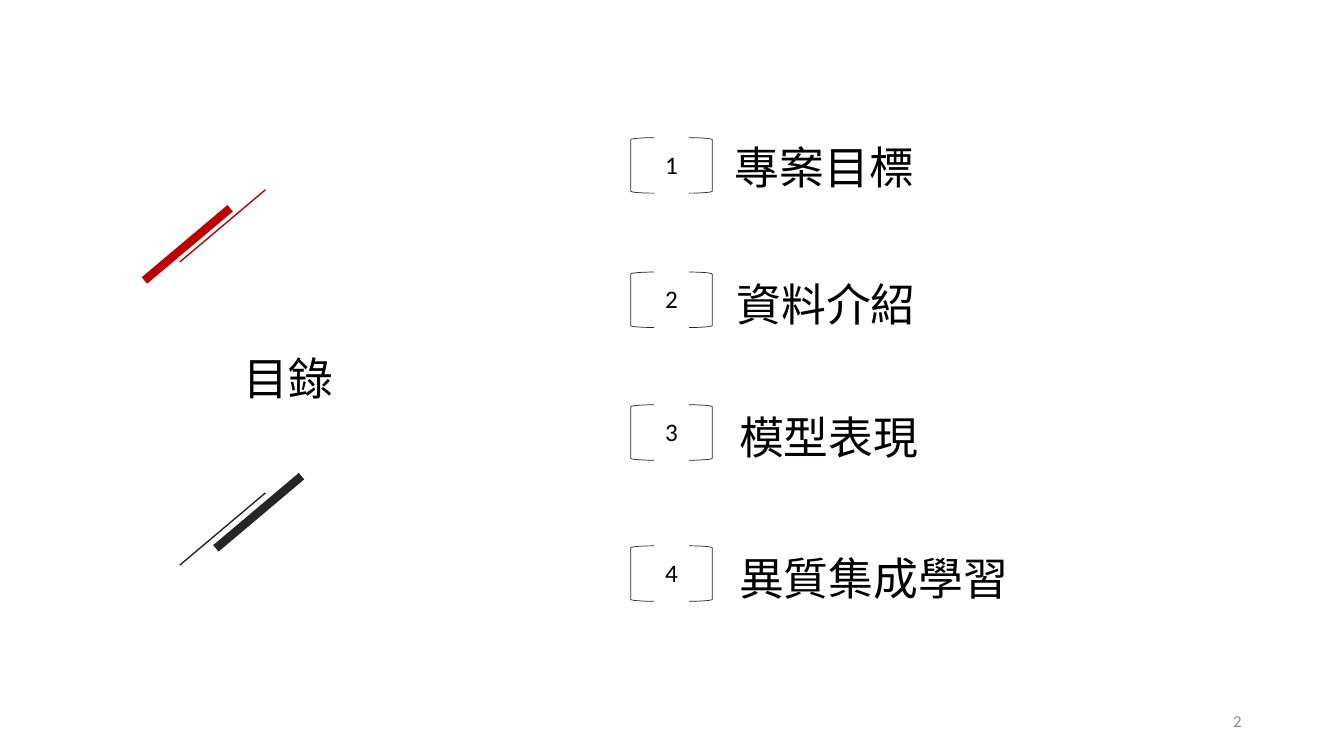
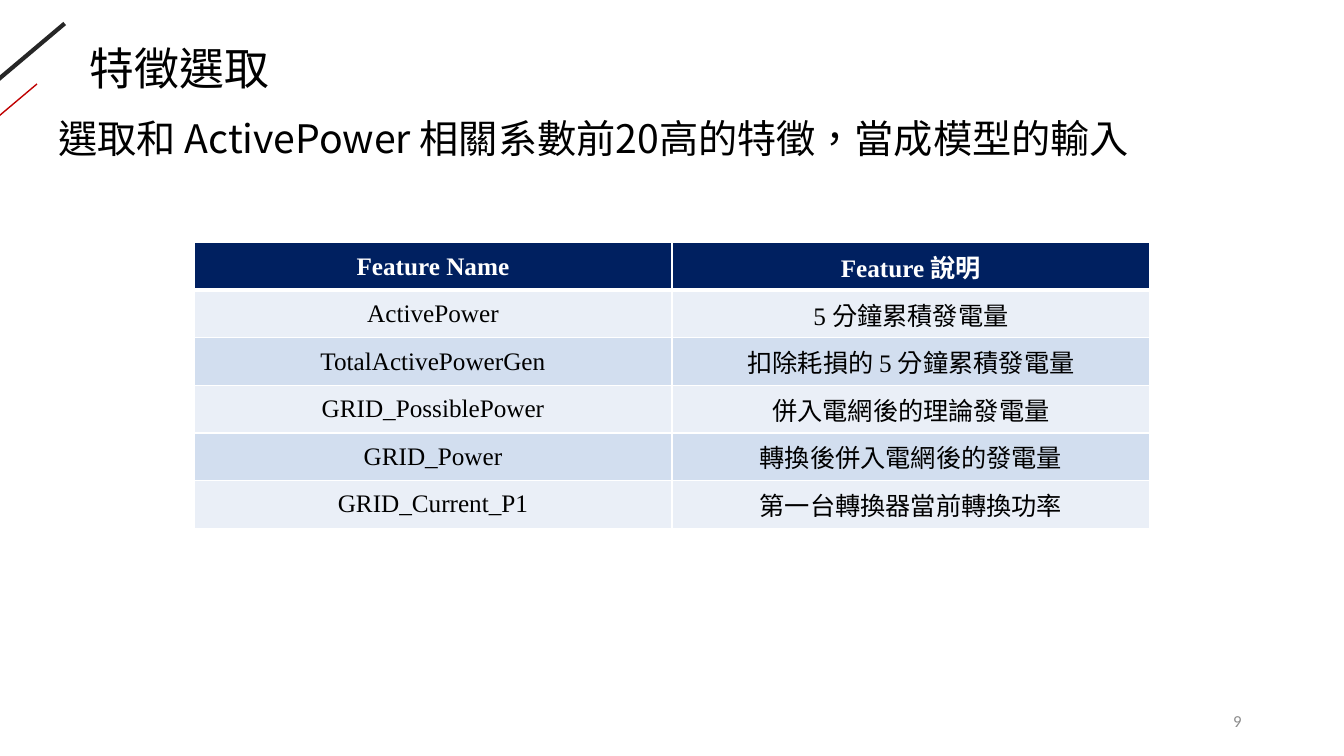
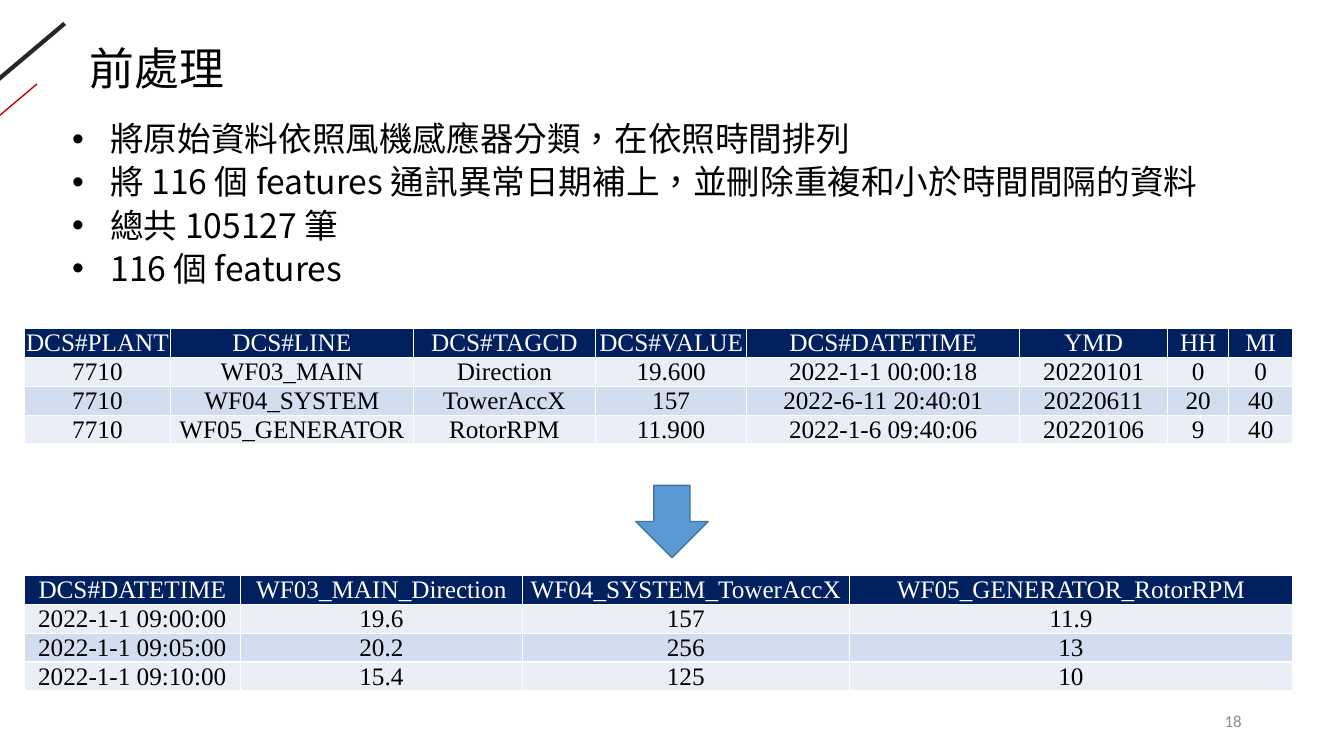
from lxml import etree
from pptx import Presentation
from pptx.dml.color import RGBColor
from pptx.enum.lang import MSO_LANGUAGE_ID
from pptx.enum.shapes import MSO_CONNECTOR, MSO_SHAPE
from pptx.enum.text import MSO_ANCHOR, MSO_AUTO_SIZE, PP_ALIGN
from pptx.oxml.ns import qn
from pptx.util import Emu, Inches, Pt

LEFT, CENTER, RIGHT = PP_ALIGN.LEFT, PP_ALIGN.CENTER, PP_ALIGN.RIGHT
TOP, MIDDLE = MSO_ANCHOR.TOP, MSO_ANCHOR.MIDDLE
NO_FIT = MSO_AUTO_SIZE.NONE
STRAIGHT = MSO_CONNECTOR.STRAIGHT
BRACKET, DOWN_ARROW = MSO_SHAPE.LEFT_BRACKET, MSO_SHAPE.DOWN_ARROW
CHINESE = MSO_LANGUAGE_ID.TRADITIONAL_CHINESE

COLUMNS = 160
TITLE_ONLY = 5


def color(value):
    return RGBColor.from_string(value)


def write_text(frame, text, size=18, font="Noto Sans CJK SC", ink="000000", bold=False,
               align=LEFT, spacing=1.0, before=0, bullet=None):
    for index, line in enumerate(text.split("\n")):
        para = frame.add_paragraph() if index else frame.paragraphs[0]
        para.alignment = align
        para.line_spacing = spacing
        para.space_before = Pt(before)
        if bullet:
            properties = para._p.get_or_add_pPr()
            properties.set("marL", str(Inches(0.38)))
            properties.set("indent", str(-Inches(0.38)))
            etree.SubElement(properties, qn("a:buFont"), typeface="Arial")
            etree.SubElement(properties, qn("a:buChar"), char=bullet)
        span = para.add_run()
        span.text = line
        span.font.name = font
        span.font.size = Pt(size)
        span.font.bold = bold
        span.font.color.rgb = color(ink)
        span.font.language_id = CHINESE
        latin = span._r.rPr.find(qn("a:latin"))
        latin.addnext(latin.makeelement(qn("a:ea"), {"typeface": "Noto Sans CJK SC"}))


class SlideBuilder:
    DARK, RED, NAVY, WHITE = "262626", "C00000", "002060", "FFFFFF"
    BANDS = ("EAEFF7", "D2DEEF")
    STROKE = (10.2, 8.6)

    def __init__(self):
        self.deck = Presentation()
        self.deck.slide_width = Inches(13.33)
        self.deck.slide_height = Inches(7.5)
        self.unit = self.deck.slide_width / COLUMNS
        self.page = None

    def grid(self, *cells):
        return [Emu(round(cell * self.unit)) for cell in cells]

    def start(self, title, number, area=(9.5, 1.8, 138, 13.4), align=LEFT, anchor=MIDDLE,
              spacing=0.9):
        self.page = self.deck.slides.add_slide(self.deck.slide_layouts[TITLE_ONLY])
        heading = self.page.shapes.title
        heading.left, heading.top, heading.width, heading.height = self.grid(*area)
        self.fill_frame(heading.text_frame, title, anchor, size=32, align=align, spacing=spacing)
        self.text((113, 83.4, 36, 4.8), str(number), MIDDLE, size=12, font="Calibri",
                  ink="8C8C8C", align=RIGHT)

    def start_content(self, title, number):
        self.start(title, number)
        self.stroke(-2.5, 11.4, self.DARK, 3)
        self.stroke(-0.7, 14.3, self.RED, 1, share=0.5)

    def fill_frame(self, frame, text, anchor, **style):
        frame.word_wrap = True
        frame.auto_size = NO_FIT
        frame.vertical_anchor = anchor
        write_text(frame, text, **style)

    def text(self, area, text, anchor=TOP, **style):
        box = self.page.shapes.add_textbox(*self.grid(*area))
        self.fill_frame(box.text_frame, text, anchor, **style)

    def body(self, area, text, size, bullet=None):
        self.text(area, text, size=size, spacing=0.9, before=5, bullet=bullet)

    def stroke(self, left, bottom, ink, weight, share=1):
        across, rise = self.STROKE
        ends = self.grid(left, bottom, left + across * share, bottom - rise * share)
        line = self.page.shapes.add_connector(STRAIGHT, *ends)
        line.line.color.rgb = color(ink)
        line.line.width = Pt(weight)
        etree.SubElement(line._element.spPr, qn("a:effectLst"))

    def shape(self, kind, area, ink, weight, fill=None, mirrored=False):
        shape = self.page.shapes.add_shape(kind, *self.grid(*area))
        shape.shadow.inherit = False
        shape.line.color.rgb = color(ink)
        shape.line.width = Pt(weight)
        if fill:
            shape.fill.solid()
            shape.fill.fore_color.rgb = color(fill)
        else:
            shape.fill.background()
        if mirrored:
            shape._element.spPr.get_or_add_xfrm().set("flipH", "1")

    def agenda_item(self, number, label, top, label_left, label_top):
        left, width, wing = 75.1, 9.7, 2.76
        self.text((left, top + 0.8, width, 5), str(number), font="Calibri", align=CENTER)
        self.shape(BRACKET, (left, top, wing, 6.6), self.DARK, 0.5)
        self.shape(BRACKET, (left + width - wing, top, wing, 6.6), self.DARK, 0.5, mirrored=True)
        self.text((label_left, label_top, 34.9, 7.7), label, size=32)

    def borders(self, cell, top, bottom):
        properties = cell._tc.get_or_add_tcPr()
        for index, (side, weight) in enumerate(
                (("lnL", 1), ("lnR", 1), ("lnT", top), ("lnB", bottom))):
            line = etree.Element(qn("a:" + side), w=str(Pt(weight)))
            fill = etree.SubElement(line, qn("a:solidFill"))
            etree.SubElement(fill, qn("a:srgbClr"), val=self.WHITE)
            properties.insert(index, line)

    def table(self, left, top, widths, row_height, rows, bold_header=False, inset=None):
        size = self.grid(left, top, sum(widths), row_height * len(rows))
        table = self.page.shapes.add_table(len(rows), len(widths), *size).table
        table.first_row = table.horz_banding = False
        for column, width in zip(table.columns, self.grid(*widths)):
            column.width = width
        rule = 3 if bold_header else 1
        for index, values in enumerate(rows):
            header = index == 0
            table.rows[index].height = self.grid(row_height)[0]
            for cell, value in zip(table.rows[index].cells, values):
                cell.vertical_anchor = MIDDLE
                if inset is not None:
                    cell.margin_left = cell.margin_right = cell.margin_top = Inches(inset)
                    cell.margin_bottom = 0
                cell.fill.solid()
                cell.fill.fore_color.rgb = color(
                    self.NAVY if header else self.BANDS[(index - 1) % 2])
                self.borders(cell, rule if index == 1 else 1, rule if header else 1)
                write_text(cell.text_frame, value, font="Times New Roman", align=CENTER,
                           ink=self.WHITE if header else "000000",
                           bold=header and bold_header)


def agenda(builder):
    builder.start("目錄", 2, (18.4, 41.2, 31.8, 7.7), CENTER, TOP, 1.0)
    for left, bottom, ink, weight in (
            (17.2, 33.4, builder.RED, 6), (21.4, 31.2, builder.RED, 1),
            (25.7, 65.3, builder.DARK, 6), (21.4, 67.3, builder.DARK, 1)):
        builder.stroke(left, bottom, ink, weight)
    items = (("專案目標", 16.4, 86.3, 16), ("資料介紹", 32.4, 86.5, 32.4),
             ("模型表現", 48.2, 86.8, 48.2), ("異質集成學習", 65, 86.8, 65))
    for number, item in enumerate(items, 1):
        builder.agenda_item(number, *item)


def feature_selection(builder):
    builder.start_content("特徵選取", 9)
    builder.body((5.8, 13.6, 134.8, 69.4),
                 "選取和 ActivePower 相關系數前20高的特徵，當成模型的輸入", 28)
    builder.table(23.1, 28.9, (56.9, 56.9), 5.67, (
        ("Feature Name", "Feature 說明"),
        ("ActivePower", "5 分鐘累積發電量"),
        ("TotalActivePowerGen", "扣除耗損的 5 分鐘累積發電量"),
        ("GRID_PossiblePower", "併入電網後的理論發電量"),
        ("GRID_Power", "轉換後併入電網後的發電量"),
        ("GRID_Current_P1", "第一台轉換器當前轉換功率")), bold_header=True)


def preprocessing(builder):
    builder.start_content("前處理", 18)
    builder.body((7.4, 14, 138, 69.4),
                 "將原始資料依照風機感應器分類，在依照時間排列\n"
                 "將 116 個 features 通訊異常日期補上，並刪除重複和小於時間間隔的資料\n"
                 "總共 105127 筆\n"
                 "116 個 features", 24, bullet="•")
    builder.table(2.9, 39.1, (17.4, 28.9, 21.7, 18, 32.5, 17.6, 7.3, 7.6), 2.8, (
        ("DCS#PLANT", "DCS#LINE", "DCS#TAGCD", "DCS#VALUE", "DCS#DATETIME", "YMD", "HH", "MI"),
        ("7710", "WF03_MAIN", "Direction", "19.600", "2022-1-1 00:00:18", "20220101", "0", "0"),
        ("7710", "WF04_SYSTEM", "TowerAccX", "157", "2022-6-11 20:40:01", "20220611", "20", "40"),
        ("7710", "WF05_GENERATOR", "RotorRPM", "11.900", "2022-1-6 09:40:06", "20220106", "9",
         "40")), inset=0.01)
    builder.shape(DOWN_ARROW, (75.7, 57.8, 8.6, 8.6), "43739E", 1, fill="5B9BD5")
    builder.table(2.9, 68.5, (25.7, 33.6, 38.9, 52.8), 2.8, (
        ("DCS#DATETIME", "WF03_MAIN_Direction", "WF04_SYSTEM_TowerAccX",
         "WF05_GENERATOR_RotorRPM"),
        ("2022-1-1 09:00:00", "19.6", "157", "11.9"),
        ("2022-1-1 09:05:00", "20.2", "256", "13"),
        ("2022-1-1 09:10:00", "15.4", "125", "10")), inset=0.01)


def main():
    builder = SlideBuilder()
    for build in (agenda, feature_selection, preprocessing):
        build(builder)
    builder.deck.save("out.pptx")


if __name__ == "__main__":
    main()
